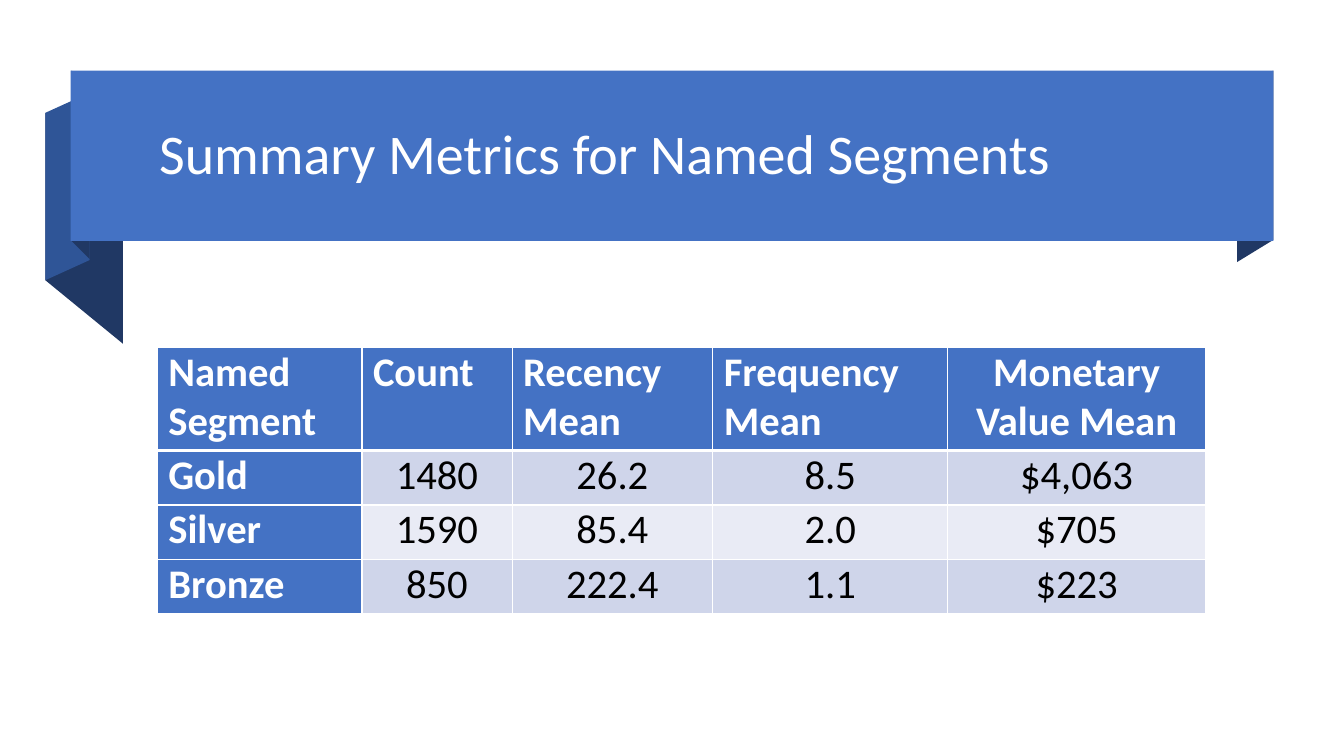
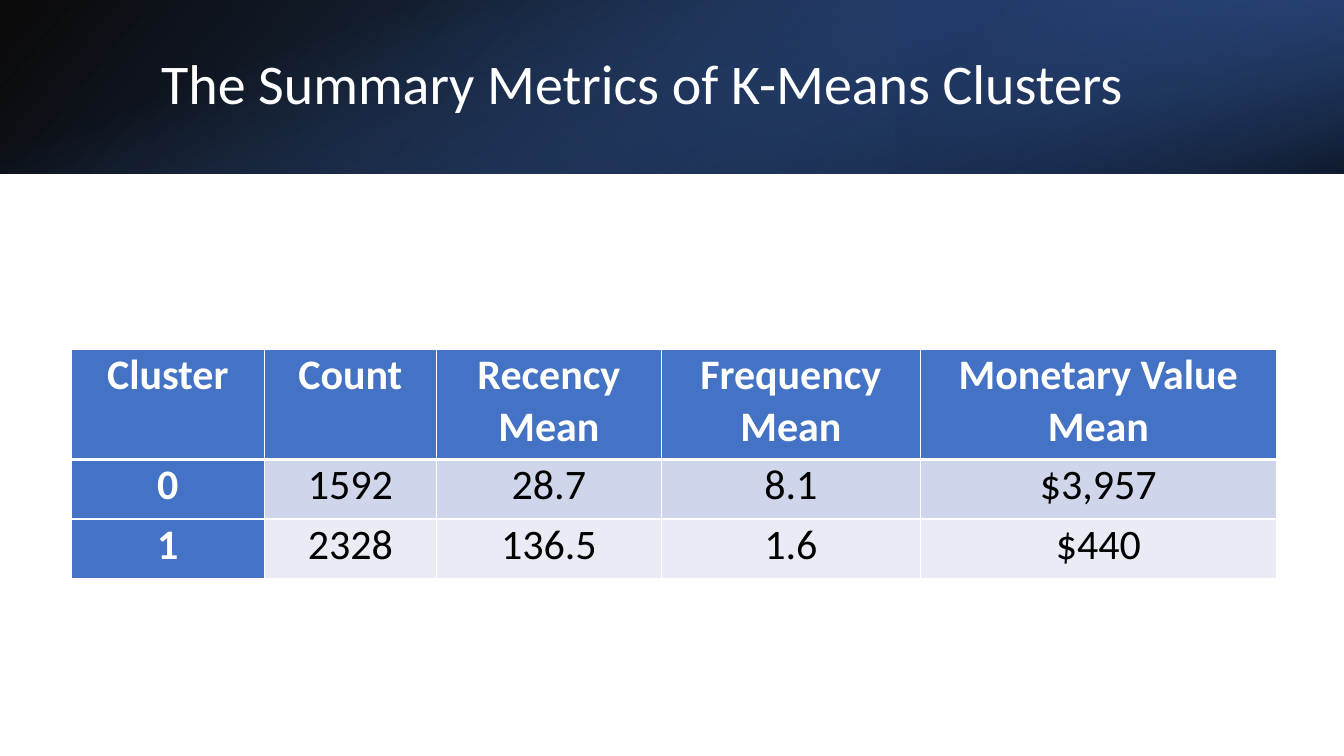
from lxml import etree
from pptx import Presentation
from pptx.dml.color import RGBColor
from pptx.enum.shapes import MSO_SHAPE
from pptx.enum.text import MSO_ANCHOR, PP_ALIGN
from pptx.oxml.ns import qn
from pptx.util import Inches, Pt

RECTANGLE = MSO_SHAPE.RECTANGLE
MIDDLE = MSO_ANCHOR.MIDDLE
LEFT, CENTER = PP_ALIGN.LEFT, PP_ALIGN.CENTER

FONT = "Calibri"
WHITE, BLACK = "FFFFFF", "000000"
BLUE, MID_BLUE, NAVY = "4472C4", "2F5597", "203864"
BANDS = ("CFD5EA", "E9EBF5")
SLIDE_WIDTH, SLIDE_HEIGHT = 13.33, 7.5
BAND_HEIGHT = 1.72


def color(value):
    return RGBColor.from_string(value)


def paint(shape, fill):
    shape.shadow.inherit = False
    shape.fill.solid()
    shape.fill.fore_color.rgb = color(fill)
    shape.line.fill.background()


def add_panel(slide, left, top, width, height, fill):
    panel = slide.shapes.add_shape(
        RECTANGLE, Inches(left), Inches(top), Inches(width), Inches(height))
    paint(panel, fill)
    return panel


def add_fold(slide, corners, fill):
    first, *others = [(Inches(x), Inches(y)) for x, y in corners]
    outline = slide.shapes.build_freeform(*first)
    outline.add_line_segments(others, close=True)
    paint(outline.convert_to_shape(), fill)


def add_gradient_panel(slide, box, stops, angle, rotation=0, flipped=False):
    panel = add_panel(slide, *box, WHITE)
    panel.rotation = rotation
    if flipped:
        panel._element.spPr.find(qn("a:xfrm")).set("flipH", "1")
    panel.fill.gradient()
    panel.fill.gradient_angle = 360 - angle
    for stop, (position, shade, _) in zip(panel.fill.gradient_stops, stops):
        stop.position = position / 100
        stop.color.rgb = color(shade)
    shades = panel._element.spPr.iter(qn("a:srgbClr"))
    for shade, (_, _, opacity) in zip(list(shades), stops):
        etree.SubElement(shade, qn("a:alpha"), val=str(opacity * 1000))


def add_run(paragraph, text, size, ink, bold=False):
    run = paragraph.add_run()
    run.text = text
    run.font.name = FONT
    run.font.size = Pt(size)
    run.font.bold = bold
    run.font.color.rgb = color(ink)


def add_title(slide, text, left, top, width, height):
    frame = slide.shapes.add_textbox(
        Inches(left), Inches(top), Inches(width), Inches(height)).text_frame
    frame.word_wrap = True
    frame.vertical_anchor = MIDDLE
    paragraph = frame.paragraphs[0]
    paragraph.line_spacing = 0.9
    add_run(paragraph, text, 40, WHITE)


def add_borders(cell, row):
    weights = {"lnL": 1, "lnR": 1,
               "lnT": 3 if row == 1 else 1,
               "lnB": 3 if row == 0 else 1}
    properties = cell._tc.get_or_add_tcPr()
    for side, weight in weights.items():
        border = etree.SubElement(properties, qn("a:" + side), w=str(Pt(weight)))
        fill = etree.SubElement(border, qn("a:solidFill"))
        etree.SubElement(fill, qn("a:srgbClr"), val=WHITE)


def fill_cell(cell, text, row, is_label, align, size, inset):
    add_borders(cell, row)
    cell.margin_left = cell.margin_right = Inches(inset)
    cell.margin_top = cell.margin_bottom = 0
    cell.fill.solid()
    cell.fill.fore_color.rgb = color(BLUE if is_label else BANDS[(row - 1) % 2])
    frame = cell.text_frame
    for index, line in enumerate(text.split("\n")):
        paragraph = frame.add_paragraph() if index else frame.paragraphs[0]
        paragraph.alignment = align
        add_run(paragraph, line, size, WHITE if is_label else BLACK, is_label)


def add_metrics(slide, left, top, widths, heights, records, size, inset,
                left_columns=0):
    table = slide.shapes.add_table(
        len(heights), len(widths), Inches(left), Inches(top),
        Inches(sum(widths)), Inches(sum(heights))).table
    for column, width in zip(table.columns, widths):
        column.width = Inches(width)
    for table_row, height in zip(table.rows, heights):
        table_row.height = Inches(height)
    for row, record in enumerate(records):
        for column, text in enumerate(record):
            is_label = row == 0 or column == 0
            align = LEFT if is_label and column < left_columns else CENTER
            fill_cell(table.cell(row, column), text, row, is_label, align,
                      size, inset)


def add_ribbon(slide):
    add_fold(slide, [(12.63, 2.38), (12.27, 2.6), (12.27, 0.91), (12.63, 0.7)], NAVY)
    add_fold(slide, [(1.22, 3.41), (0.45, 2.78), (0.45, 1.12), (1.22, 1.75)], NAVY)
    add_fold(slide, [(0.89, 2.58), (0.45, 2.78), (0.45, 1.12), (0.89, 0.92)], MID_BLUE)
    add_fold(slide, [(0.89, 2.57), (0.71, 2.39), (0.71, 0.7), (0.89, 0.89)], NAVY)
    add_panel(slide, 0.7, 0.7, 11.93, 1.69, BLUE)


def add_gradient_band(slide):
    add_gradient_panel(slide, (0, 0, SLIDE_WIDTH, BAND_HEIGHT),
                       [(0, BLACK, 96), (100, MID_BLUE, 100)], 140, flipped=True)
    glow_width = SLIDE_WIDTH / 3
    add_gradient_panel(slide, (SLIDE_WIDTH - glow_width, 0, glow_width, BAND_HEIGHT),
                       [(19, NAVY, 68), (100, BLUE, 79)], 320, 180, True)
    offset = (SLIDE_WIDTH - BAND_HEIGHT) / 2
    add_gradient_panel(slide, (offset, -offset, BAND_HEIGHT, SLIDE_WIDTH),
                       [(23, BLUE, 0), (99, BLACK, 74)], 340, 90)


def build_segments(slide):
    add_ribbon(slide)
    add_title(slide, "Summary Metrics for Named Segments", 1.48, 0.83, 10.94, 1.45)
    records = [
        ("Named\nSegment", "Count", "Recency Mean", "Frequency Mean",
         "Monetary Value Mean"),
        ("Gold", "1480", "26.2", "8.5", "$4,063"),
        ("Silver", "1590", "85.4", "2.0", "$705"),
        ("Bronze", "850", "222.4", "1.1", "$223"),
    ]
    add_metrics(slide, 1.56, 3.45, (2.03, 1.49, 1.99, 2.33, 2.56),
                (1.02, 0.54, 0.54, 0.54), records, 29, 0.11, left_columns=4)


def build_clusters(slide):
    add_gradient_band(slide)
    add_title(slide, "The Summary Metrics of K-Means Clusters", 1.5, 0.38, 10.98, 0.96)
    records = [
        ("Cluster", "Count", "Recency Mean", "Frequency Mean",
         "Monetary Value Mean"),
        ("0", "1592", "28.7", "8.1", "$3,957"),
        ("1", "2328", "136.5", "1.6", "$440"),
    ]
    add_metrics(slide, 0.71, 3.47, (1.91, 1.71, 2.23, 2.57, 3.53),
                (1.09, 0.59, 0.59), records, 30, 0.16)


def main():
    deck = Presentation()
    deck.slide_width = Inches(SLIDE_WIDTH)
    deck.slide_height = Inches(SLIDE_HEIGHT)
    blank = deck.slide_layouts[6]
    for build in (build_segments, build_clusters):
        build(deck.slides.add_slide(blank))
    deck.save("out.pptx")


if __name__ == "__main__":
    main()
